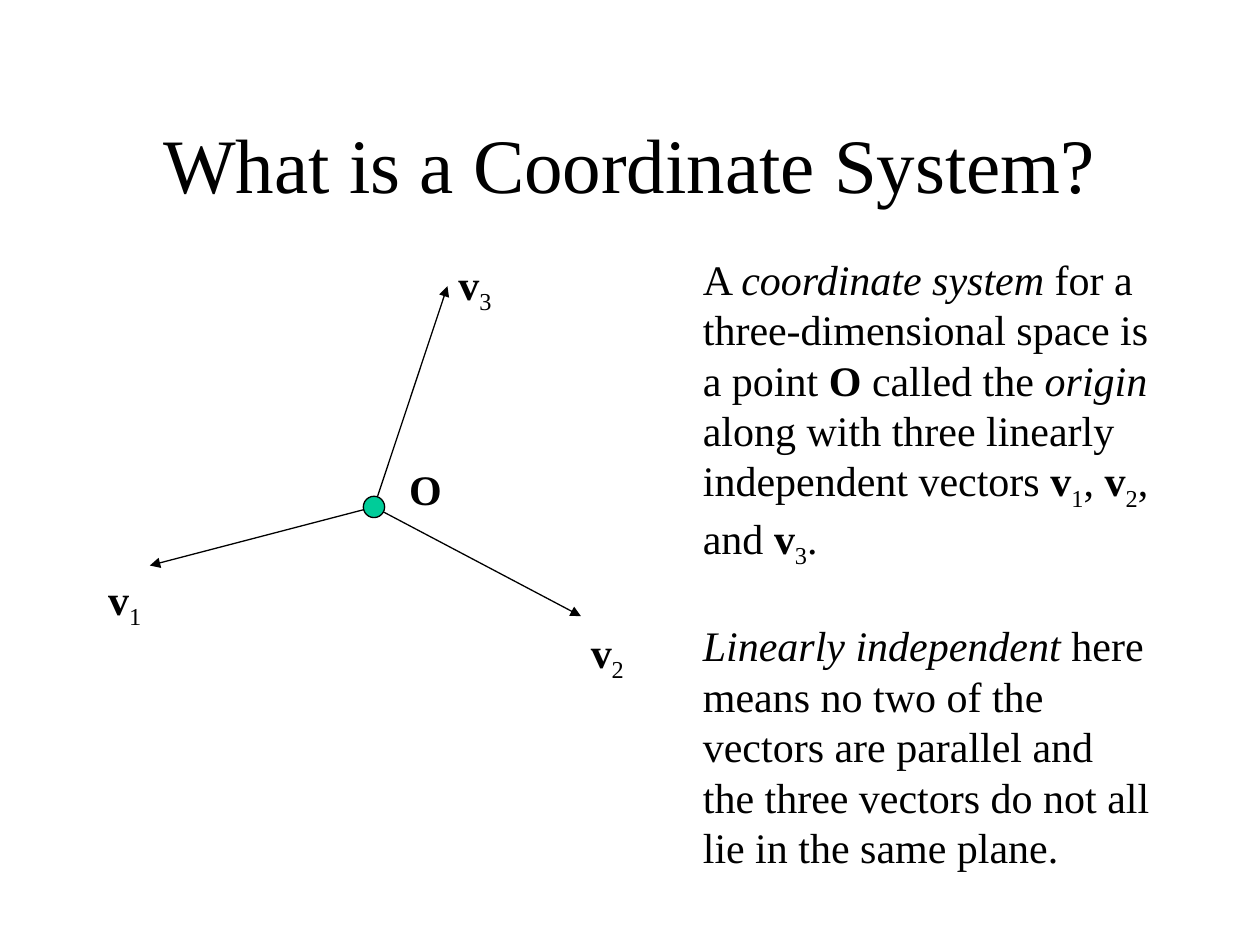
from pptx import Presentation as Deck
from pptx.dml.color import RGBColor as Rgb
from pptx.enum.shapes import MSO_CONNECTOR as Link, MSO_SHAPE as Form
from pptx.enum.text import MSO_ANCHOR as Anchor, PP_ALIGN as Align
from pptx.oxml.ns import qn
from pptx.util import Cm, Pt
from lxml.etree import SubElement as Sub

FONT = "Times New Roman"
HUE = {"ink": "000000", "dot": "00CC99"}
TITLE = "What is a Coordinate System?"
BODY = [
    [("A ", ""), ("coordinate system", "i"),
     (" for a three-dimensional space is a point ", ""), ("O", "b"),
     (" called the ", ""), ("origin", "i"),
     (" along with three linearly independent vectors ", ""),
     ("v", "b"), ("1", "s"), (", ", ""), ("v", "b"), ("2", "s"),
     (", and ", ""), ("v", "b"), ("3", "s"), (".", "")],
    [("Linearly independent", "i"),
     (" here means no two of the vectors are parallel and the three "
      "vectors do not all lie in the same plane.", "")],
]
ROOT = (7.54, 10.22)
AXES = [
    ("1", (3.02, 11.4), (1.93, 11.43)),
    ("2", (11.71, 12.42), (11.66, 12.5)),
    ("3", (9.02, 5.77), (8.99, 5.08)),
]


def tint(name):
    return Rgb.from_string(HUE[name])


def add_text(slide, box, paras, size=24, wrap=True, gap=0):
    shape = slide.shapes.add_textbox(*map(Cm, box))
    frame = shape.text_frame
    frame.word_wrap = wrap
    for num, parts in enumerate(paras):
        para = frame.add_paragraph() if num else frame.paragraphs[0]
        para.font.name = FONT
        para.font.size = Pt(size)
        para.font.color.rgb = tint("ink")
        if num:
            para.space_before = Pt(gap)
        for words, mode in parts:
            run = para.add_run()
            run.text = words
            if mode == "b":
                run.font.bold = True
            elif mode == "i":
                run.font.italic = True
            elif mode == "s":
                run.font._element.set("baseline", "-25000")
    return frame


def add_title(slide):
    frame = add_text(slide, (1.9, 1.7, 21.6, 3.18), [[(TITLE, "")]], 44)
    frame.vertical_anchor = Anchor.MIDDLE
    frame.paragraphs[0].alignment = Align.CENTER


def add_arrow(slide, start, end):
    line = slide.shapes.add_connector(Link.STRAIGHT, *map(Cm, start + end))
    line.line.color.rgb = tint("ink")
    line.line.width = Pt(0.74)
    Sub(line.line._get_or_add_ln(), qn("a:tailEnd"), type="triangle")
    Sub(line._element.spPr, qn("a:effectLst"))


def add_dot(slide, mid, size):
    left, top = (pos - size / 2 for pos in mid)
    dot = slide.shapes.add_shape(
        Form.OVAL, Cm(left), Cm(top), Cm(size), Cm(size))
    dot.shadow.inherit = False
    dot.fill.solid()
    dot.fill.fore_color.rgb = tint("dot")
    dot.line.color.rgb = tint("ink")
    dot.line.width = Pt(0.74)


def add_label(slide, spot, parts):
    add_text(slide, spot + (1.17, 1.3), [parts], wrap=False)


def main():
    deck = Deck()
    deck.slide_width, deck.slide_height = Cm(25.4), Cm(19.05)
    slide = deck.slides.add_slide(deck.slide_layouts[6])
    add_title(slide)
    for num, tip, spot in AXES:
        add_arrow(slide, ROOT, tip)
        add_label(slide, spot, [("v", "b"), (num, "s")])
    add_dot(slide, ROOT, 0.43)
    add_label(slide, (8, 9.22), [("O", "b")])
    add_text(slide, (13.92, 4.98, 9.58, 12.73), BODY, gap=28.8)
    deck.save("out.pptx")


main()
